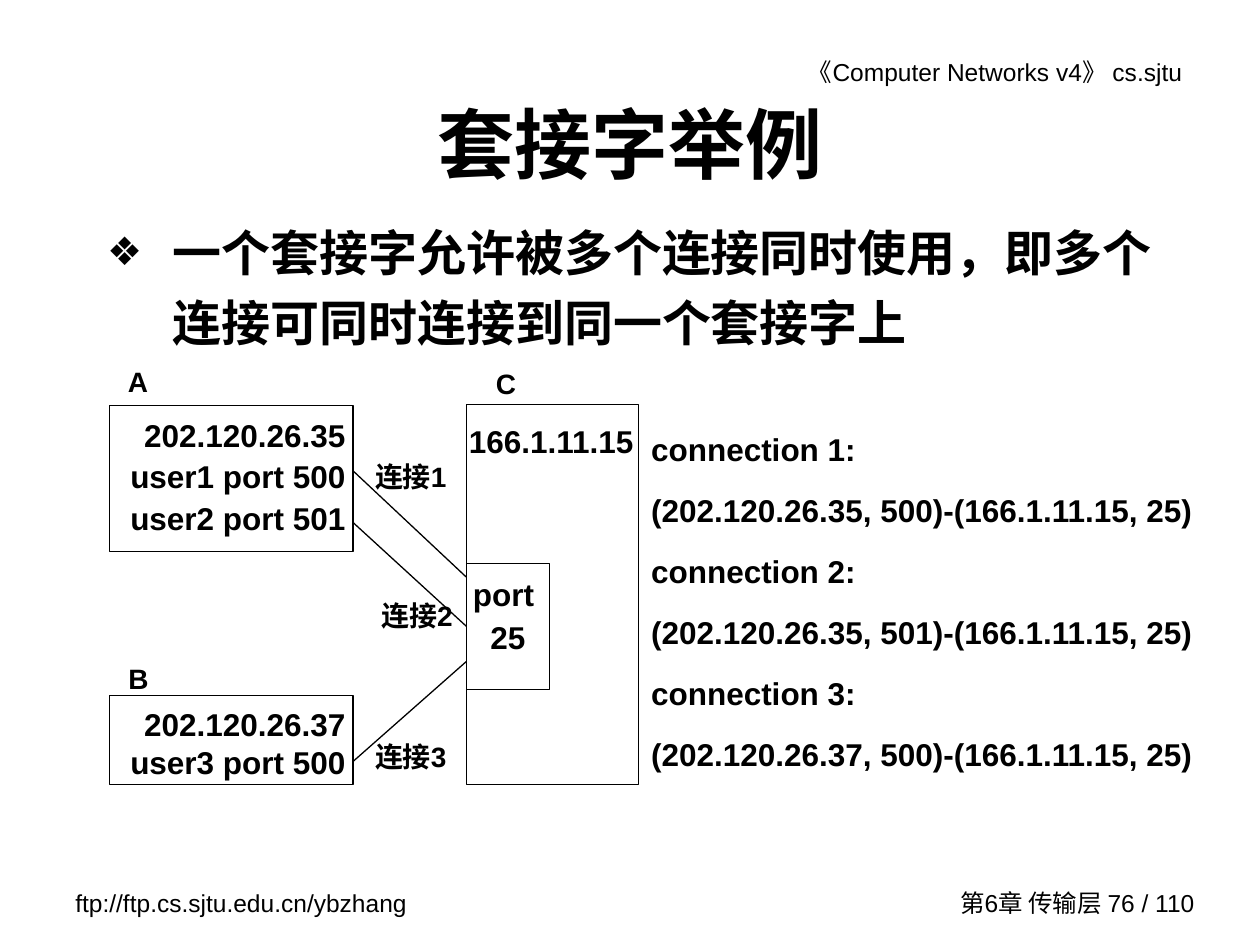
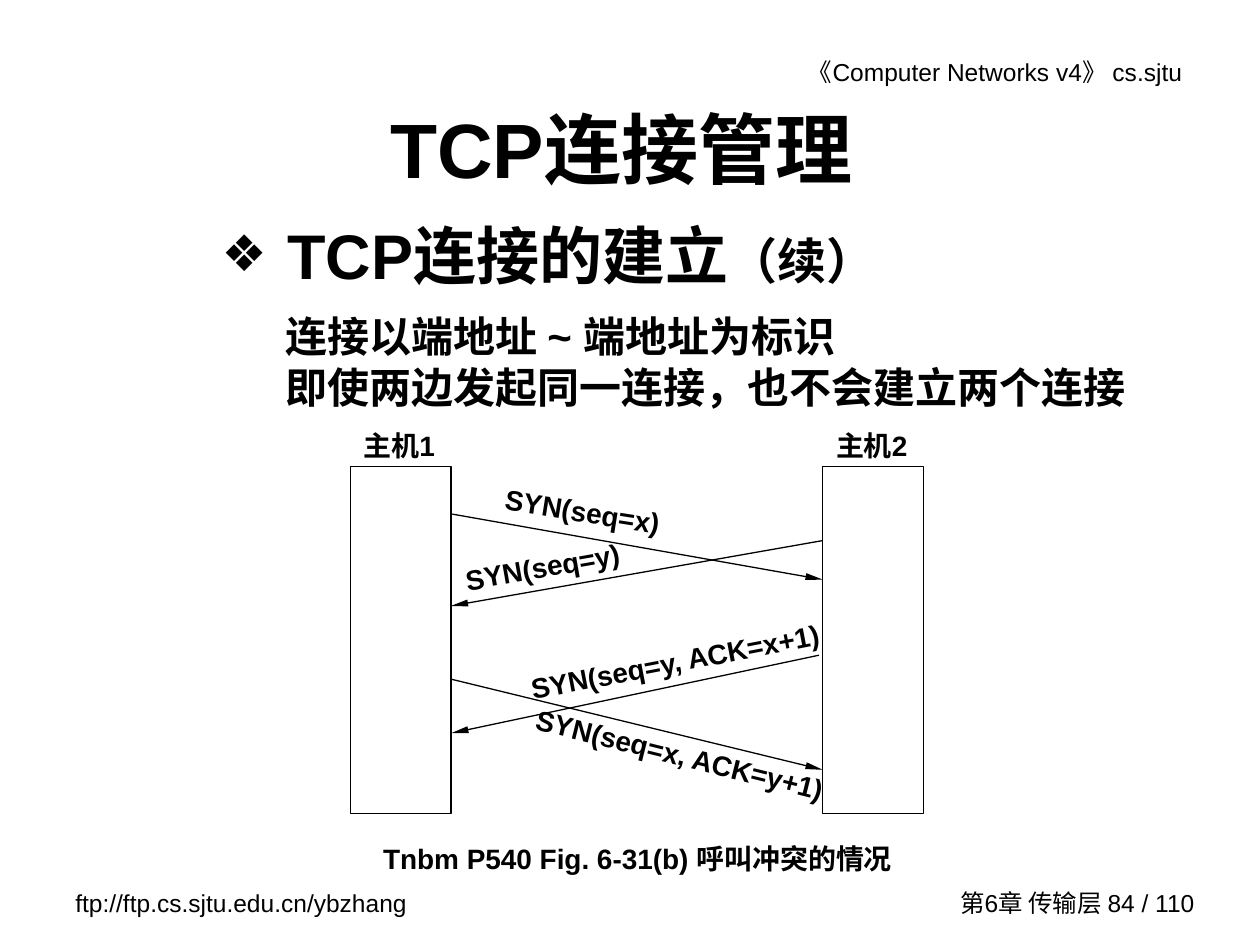
from lxml.etree import SubElement
from pptx import Presentation
from pptx.dml.color import RGBColor
from pptx.enum.shapes import MSO_CONNECTOR as Connector, MSO_SHAPE as Shape
from pptx.enum.text import MSO_ANCHOR as Anchor, MSO_AUTO_SIZE as AutoSize, PP_ALIGN as Align
from pptx.oxml.ns import qn
from pptx.util import Pt

COLORS = {"ink": "000000", "paper": "FFFFFF"}
FONT = "Arial"
LINE_WIDTH = 0.75
MARGINS = (7.2, 3.6, 7.2, 3.6)  # left, top, right, bottom
BULLET_INDENT = 37.5
PAGE_COUNT = 110


def color(key):
    return RGBColor.from_string(COLORS[key])


# Text
def add_run(paragraph, text, size, bold=True):
    run = paragraph.add_run()
    run.text = text
    run.font.name = FONT
    run.font.size = Pt(size)
    run.font.bold = bold
    run.font.color.rgb = color("ink")


def format_frame(frame, margins=MARGINS, anchor=Anchor.TOP):
    frame.word_wrap = True
    frame.auto_size = AutoSize.NONE
    frame.vertical_anchor = anchor
    (frame.margin_left, frame.margin_top,
     frame.margin_right, frame.margin_bottom) = map(Pt, margins)


def write_lines(frame, lines, size, bold=True, align=Align.LEFT, spacing=1.0, gap=0):
    for index, line in enumerate(lines):
        paragraph = frame.add_paragraph() if index else frame.paragraphs[0]
        paragraph.alignment = align
        paragraph.line_spacing = spacing
        paragraph.space_before = Pt(gap if index else 0)
        add_run(paragraph, line, size, bold)


def place(shape, box):
    shape.left, shape.top, shape.width, shape.height = map(Pt, box)


def add_text(slide, box, lines, size, margins=MARGINS, anchor=Anchor.TOP, **style):
    text = slide.shapes.add_textbox(*map(Pt, box))
    format_frame(text.text_frame, margins, anchor)
    write_lines(text.text_frame, lines, size, **style)
    return text


def add_label(slide, box, text, rotation=0, **style):
    label = add_text(slide, box, [text], 16, align=Align.CENTER, **style)
    label.rotation = rotation


# Boxes and lines
def add_box(slide, box, lines=(), margins=MARGINS, anchor=Anchor.TOP, **style):
    outline = slide.shapes.add_shape(Shape.RECTANGLE, *map(Pt, box))
    outline.shadow.inherit = False
    outline.fill.background()
    outline.line.color.rgb = color("ink")
    outline.line.width = Pt(LINE_WIDTH)
    format_frame(outline.text_frame, margins, anchor)
    write_lines(outline.text_frame, lines, 18, **style)
    return outline


def add_line(slide, start, end, arrow=False):
    line = slide.shapes.add_connector(Connector.STRAIGHT, *map(Pt, start + end))
    line.line.color.rgb = color("ink")
    line.line.width = Pt(LINE_WIDTH)
    properties = line._element.spPr
    if arrow:
        SubElement(properties.find(qn("a:ln")), qn("a:tailEnd"),
                   type="triangle", w="sm", len="lg")
    SubElement(properties, qn("a:effectLst"))
    return line


# Title, bullet, header and footers
def add_page(deck, page, title, title_height, body_box, bullet_runs, spacing):
    slide = deck.slides.add_slide(deck.slide_layouts[1])
    slide.background.fill.solid()
    slide.background.fill.fore_color.rgb = color("paper")

    add_text(slide, (380, 28.8, 310.5, 24.5), ["《Computer Networks v4》 cs.sjtu"], 14,
             margins=(7.2, 3.6, 15, 3.6), bold=False, align=Align.RIGHT)
    add_text(slide, (36, 504, 210.5, 24.5), ["ftp://ftp.cs.sjtu.edu.cn/ybzhang"], 14,
             bold=False)
    add_text(slide, (527, 504, 162.7, 24), [f"第6章 传输层 {page} / {PAGE_COUNT}"], 14,
             anchor=Anchor.MIDDLE, bold=False, align=Align.RIGHT)

    heading = slide.shapes.title
    place(heading, (54, 48.2, 612, title_height))
    format_frame(heading.text_frame, anchor=Anchor.MIDDLE)
    write_lines(heading.text_frame, [title], 44, align=Align.CENTER)

    body = slide.placeholders[1]
    place(body, body_box)
    format_frame(body.text_frame)
    point = body.text_frame.paragraphs[0]
    add_bullet(point)
    point.alignment = Align.LEFT
    point.line_spacing = spacing
    point.space_before = Pt(0)
    for text, size in bullet_runs:
        add_run(point, text, size)
    return slide


def add_bullet(paragraph):
    properties = paragraph._p.get_or_add_pPr()
    properties.set("marL", str(Pt(BULLET_INDENT)))
    properties.set("indent", str(-Pt(BULLET_INDENT)))
    bullet_color = SubElement(properties, qn("a:buClr"))
    SubElement(bullet_color, qn("a:srgbClr"), val=COLORS["ink"])
    SubElement(properties, qn("a:buSzPct"), val="80000")
    SubElement(properties, qn("a:buChar"), char="❖")


def add_socket_example(deck):
    slide = add_page(deck, 76, "套接字举例", 66.2, (54, 116.6, 635.8, 90.7),
                     [("一个套接字允许被多个连接同时使用，即多个连接可同时连接到同一个套接字上", 28)], 1.2)

    # Hosts
    add_box(slide, (62.6, 231.8, 139.2, 83.4),
            ["202.120.26.35", "user1 port 500", "user2 port 501"],
            margins=(1.4, 3.6, 4.3, 3.6), align=Align.RIGHT, spacing=1.1)
    add_box(slide, (62.6, 397.4, 139.2, 51), ["202.120.26.37", "user3 port 500"],
            margins=(1.4, 6.5, 4.3, 3.6), anchor=Anchor.MIDDLE, align=Align.RIGHT)
    add_box(slide, (266.5, 231.2, 98.6, 217.2), ["166.1.11.15"],
            margins=(1.4, 12.2, 1.4, 3.6), align=Align.JUSTIFY, spacing=0.9)
    port = add_box(slide, (266.5, 321.9, 47.5, 72), ["port ", "25"],
                   margins=(1.4, 6.5, 1.4, 6.5), align=Align.CENTER, gap=3)
    for name, box in (("A", (61.9, 205.2, 33.8, 25.9)),
                      ("B", (62.6, 377.3, 33.1, 20.2)),
                      ("C", (273.6, 207.4, 31, 23.8))):
        add_label(slide, box, name, anchor=Anchor.MIDDLE)

    # Connections to the port
    add_line(slide, (202, 269.3), (266.5, 329.8))
    add_line(slide, (202, 298.8), (266.5, 357.9)).end_connect(port, 1)
    add_line(slide, (202, 434.9), (266.5, 378))
    for number, box in enumerate(((202.3, 262.1, 64.8, 20.2),
                                  (209.5, 339.1, 57.6, 25.2),
                                  (202.3, 421.2, 64.8, 22.3)), 1):
        add_label(slide, box, f"连接{number}", anchor=Anchor.MIDDLE)

    # Address pairs
    users = (("202.120.26.35", 500), ("202.120.26.35", 501), ("202.120.26.37", 500))
    pairs = []
    for number, (address, user_port) in enumerate(users, 1):
        pairs += [f"connection {number}:", f"({address}, {user_port})-(166.1.11.15, 25)"]
    add_text(slide, (365, 239.8, 332.6, 205.9), pairs, 18, spacing=1.1, gap=11.2)


def add_call_collision(deck):
    slide = add_page(deck, 84, "TCP连接管理 ", 72, (119.5, 120.2, 426.2, 54),
                     [("TCP连接的建立", 36), ("（续）", 28)], 1.0)
    add_text(slide, (156.2, 174.2, 514.8, 64.8),
             ["连接以端地址 ~ 端地址为标识", "即使两边发起同一连接，也不会建立两个连接"], 24)

    # Hosts
    for number, left in enumerate((200.2, 470.2), 1):
        add_box(slide, (left, 266.4, 57.6, 198.7))
        add_label(slide, (left - 19.2, 241.2, 94.3, 24.5), f"主机{number}")

    # Segments exchanged
    segments = (
        ("SYN(seq=x)", (258.5, 293.8), (470.2, 331.2), (247, 280.1, 171.4, 26.6), 9),
        ("SYN(seq=y)", (470.2, 308.9), (257.6, 346.3), (224.6, 311.8, 171.4, 27.4), 350),
        ("SYN(seq=y, ACK=x+1)", (468, 374.4), (257.8, 419), (274.3, 365.8, 223.2, 26.6), 349),
        ("SYN(seq=x, ACK=y+1)", (257.8, 388.1), (470.2, 439.9), (276.5, 419, 223.2, 26.6), 14),
    )
    for text, start, end, box, rotation in segments:
        add_line(slide, start, end, arrow=True)
        add_label(slide, box, text, rotation, spacing=0.96)

    add_label(slide, (200.2, 478.8, 328.3, 27.4), "Tnbm P540 Fig. 6-31(b) 呼叫冲突的情况",
              spacing=0.96)


def main():
    deck = Presentation()
    deck.slide_width, deck.slide_height = Pt(720), Pt(540)
    add_socket_example(deck)
    add_call_collision(deck)
    deck.save("out.pptx")


if __name__ == "__main__":
    main()
